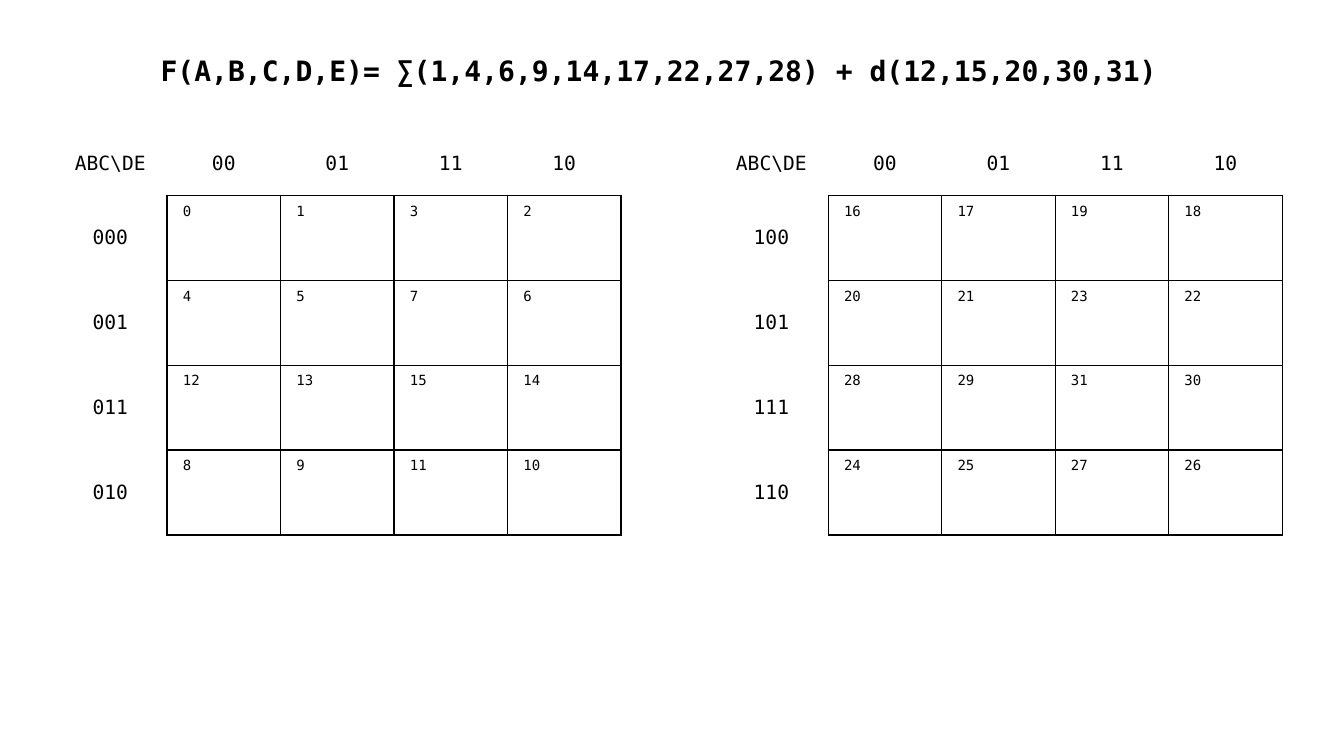
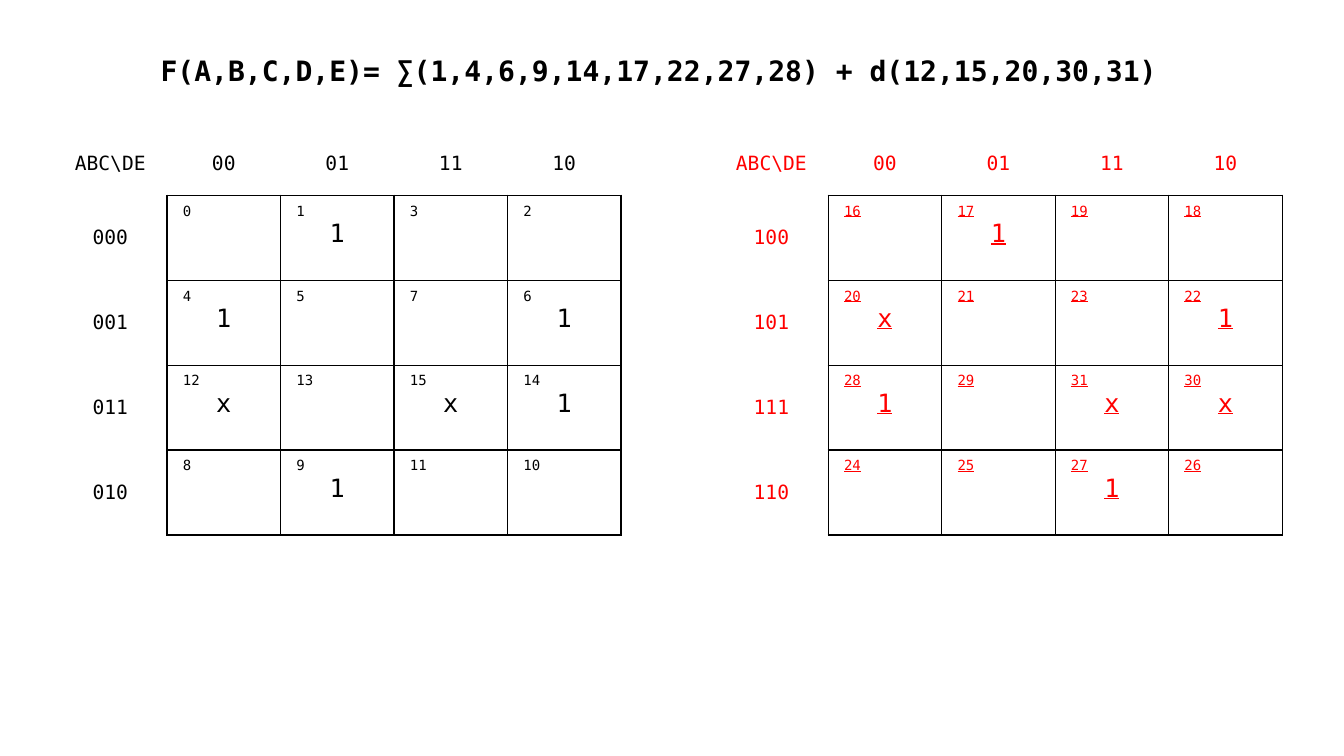
from dataclasses import dataclass

from lxml import etree
from pptx import Presentation
from pptx.dml.color import RGBColor
from pptx.enum.text import MSO_ANCHOR, MSO_AUTO_SIZE, PP_ALIGN
from pptx.oxml.ns import qn
from pptx.util import Cm, Pt

CENTER, LEFT = PP_ALIGN.CENTER, PP_ALIGN.LEFT
MIDDLE, TOP = MSO_ANCHOR.MIDDLE, MSO_ANCHOR.TOP
FIT_SHAPE = MSO_AUTO_SIZE.SHAPE_TO_FIT_TEXT


@dataclass(frozen=True)
class Theme:
    font: str = "DejaVu Sans Mono"
    black: str = "000000"
    red: str = "FF0000"
    white: str = "FFFFFF"
    title_size: int = 20
    mark_size: int = 18
    label_size: int = 14
    minterm_size: int = 10
    border_width: int = 1


THEME = Theme()

MINTERMS = (1, 4, 6, 9, 14, 17, 22, 27, 28)
DONT_CARES = (12, 15, 20, 30, 31)
CORNER = "ABC\\DE"
DE_CODES = ("00", "01", "11", "10")
BC_CODES = ("00", "01", "11", "10")
SLIDES = (
    {"marked": False, "a1_color": THEME.black},
    {"marked": True, "a1_color": THEME.red},
)

MAP_LEFTS = {"0": Cm(1.35), "1": Cm(18.01)}
MAP_TOP = Cm(3.35)
COLUMN_WIDTH = Cm(2.86)
HEADER_HEIGHT = Cm(1.57)
ROW_HEIGHT = Cm(2.14)
PAD_X, PAD_Y = Cm(0.4), Cm(0.2)


def write(paragraph, text, size, color, align, bold=False, underline=False):
    paragraph.text = text
    paragraph.alignment = align
    font = paragraph.font
    font.name = THEME.font
    font.size = Pt(size)
    font.color.rgb = RGBColor.from_string(color)
    font.bold = bold
    font.underline = underline


def set_borders(cell, sides):
    properties = cell._tc.get_or_add_tcPr()
    for side in "LRTB":
        line = etree.SubElement(properties, qn(f"a:ln{side}"), w=str(Pt(THEME.border_width)))
        if side in sides:
            fill = etree.SubElement(line, qn("a:solidFill"))
            etree.SubElement(fill, qn("a:srgbClr"), val=THEME.black)
        else:
            etree.SubElement(line, qn("a:noFill"))


def style_cell(cell, sides, anchor):
    set_borders(cell, sides)
    cell.fill.solid()
    cell.fill.fore_color.rgb = RGBColor.from_string(THEME.white)
    cell.margin_left = cell.margin_right = PAD_X
    cell.margin_top = cell.margin_bottom = PAD_Y
    cell.vertical_anchor = anchor


def add_label(cell, text, sides, color):
    style_cell(cell, sides, MIDDLE)
    write(cell.text_frame.paragraphs[0], text, THEME.label_size, color, CENTER)


def add_minterm(cell, minterm, marked, color):
    style_cell(cell, "LRTB", TOP)
    frame = cell.text_frame
    underline = color != THEME.black
    write(frame.paragraphs[0], str(minterm), THEME.minterm_size, color, LEFT, underline=underline)
    if marked and minterm in MINTERMS + DONT_CARES:
        mark = "1" if minterm in MINTERMS else "x"
        write(frame.add_paragraph(), mark, THEME.mark_size, color, CENTER, underline=underline)


def add_map(slide, a_bit, marked, color):
    row_codes = [a_bit + code for code in BC_CODES]
    rows, columns = len(row_codes) + 1, len(DE_CODES) + 1
    table = slide.shapes.add_table(
        rows, columns, MAP_LEFTS[a_bit], MAP_TOP,
        COLUMN_WIDTH * columns, HEADER_HEIGHT + ROW_HEIGHT * len(row_codes),
    ).table
    table.first_row = table.horz_banding = False
    for column in table.columns:
        column.width = COLUMN_WIDTH
    for index, row in enumerate(table.rows):
        row.height = ROW_HEIGHT if index else HEADER_HEIGHT

    add_label(table.cell(0, 0), CORNER, "", color)
    for c, de_code in enumerate(DE_CODES, 1):
        add_label(table.cell(0, c), de_code, "B", color)
    for r, abc_code in enumerate(row_codes, 1):
        add_label(table.cell(r, 0), abc_code, "R", color)
        for c, de_code in enumerate(DE_CODES, 1):
            add_minterm(table.cell(r, c), int(abc_code + de_code, 2), marked, color)


def add_title(slide):
    minterms, dont_cares = (",".join(map(str, terms)) for terms in (MINTERMS, DONT_CARES))
    frame = slide.shapes.add_textbox(Cm(2.21), Cm(1.09), Cm(29.21), Cm(1.17)).text_frame
    frame.word_wrap = True
    frame.auto_size = FIT_SHAPE
    title = frame.paragraphs[0]
    write(title, f"F(A,B,C,D,E)= ∑({minterms}) + d({dont_cares}) ",
          THEME.title_size, THEME.black, CENTER, bold=True)
    title.line_spacing = 1.15
    title.space_before = title.space_after = Pt(6)


def main():
    deck = Presentation()
    deck.slide_width, deck.slide_height = Cm(33.87), Cm(19.05)
    blank = deck.slide_layouts[6]
    for content in SLIDES:
        slide = deck.slides.add_slide(blank)
        add_map(slide, "1", content["marked"], content["a1_color"])
        add_map(slide, "0", content["marked"], THEME.black)
        add_title(slide)
    deck.save("out.pptx")


if __name__ == "__main__":
    main()
